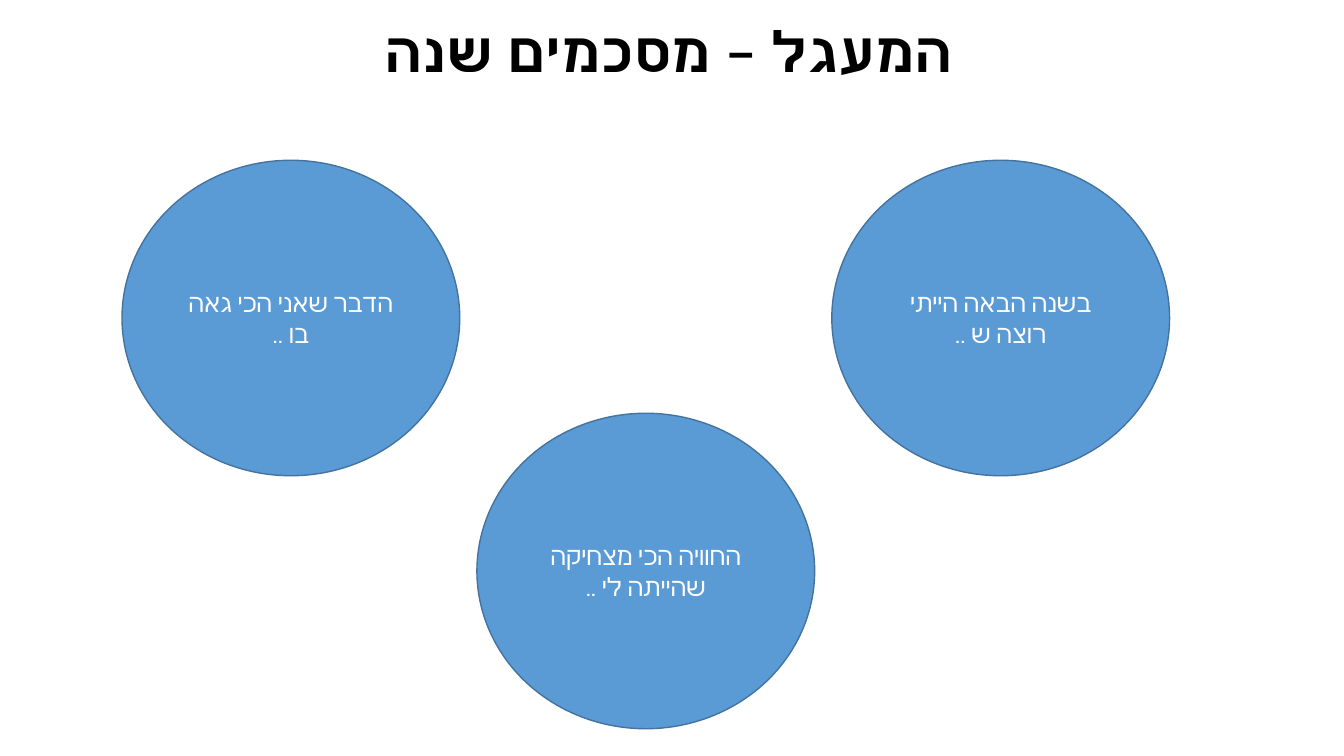
from lxml.etree import SubElement
from pptx import Presentation
from pptx.dml.color import RGBColor
from pptx.enum.shapes import MSO_SHAPE as Shape
from pptx.enum.text import MSO_ANCHOR as Anchor, MSO_AUTO_SIZE as AutoSize, PP_ALIGN as Align
from pptx.oxml.ns import qn
from pptx.util import Inches, Pt

COLORS = {"title": "000000", "circle": "5B9BD5", "outline": "43739E", "label": "FFFFFF"}
CIRCLE_WIDTH, CIRCLE_HEIGHT = 3.35, 3.13
CIRCLES = [
    (1.21, 1.59, "הדבר שאני הכי גאה בו .."),
    (8.25, 1.59, "בשנה הבאה הייתי רוצה ש .."),
    (4.73, 4.1, "החוויה הכי מצחיקה שהייתה לי .."),
]


def color(name):
    """Return the named colour."""
    return RGBColor.from_string(COLORS[name])


def add_text(frame, text, font_name, size, color_name, bold=False):
    """Put one centred run in the frame and return its paragraph."""
    frame.word_wrap = True
    frame.auto_size = AutoSize.NONE
    frame.vertical_anchor = Anchor.MIDDLE
    para = frame.paragraphs[0]
    para.alignment = Align.CENTER
    span = para.add_run()
    span.text = text
    span.font.size = Pt(size)
    span.font.bold = bold
    span.font.color.rgb = color(color_name)
    span.font.name = font_name
    # Hebrew takes its typeface from the complex-script font
    SubElement(span.font._element, qn("a:cs"), typeface=font_name)
    return para


deck = Presentation()
deck.slide_width, deck.slide_height = Inches(13.33), Inches(7.5)
page = deck.slides.add_slide(deck.slide_layouts[5])

title = page.shapes.title
title.left, title.top = Inches(0.11), Inches(-0.02)
title.width, title.height = Inches(13.05), Inches(1.02)
title_frame = title.text_frame
title_frame.margin_left = title_frame.margin_right = title_frame.margin_top = Inches(0.1)
title_frame.margin_bottom = 0
title_para = add_text(title_frame, "המעגל – מסכמים שנה", "Lato", 40, "title", bold=True)
title_para.line_spacing = 0.9

for left, top, prompt in CIRCLES:
    circle = page.shapes.add_shape(
        Shape.OVAL, Inches(left), Inches(top), Inches(CIRCLE_WIDTH), Inches(CIRCLE_HEIGHT)
    )
    circle.shadow.inherit = False
    circle.fill.solid()
    circle.fill.fore_color.rgb = color("circle")
    circle.line.color.rgb = color("outline")
    circle.line.width = Pt(1)
    prompt_para = add_text(circle.text_frame, prompt, "Cabin", 18, "label")
    prompt_para._p.get_or_add_pPr().set("rtl", "1")

deck.save("out.pptx")
